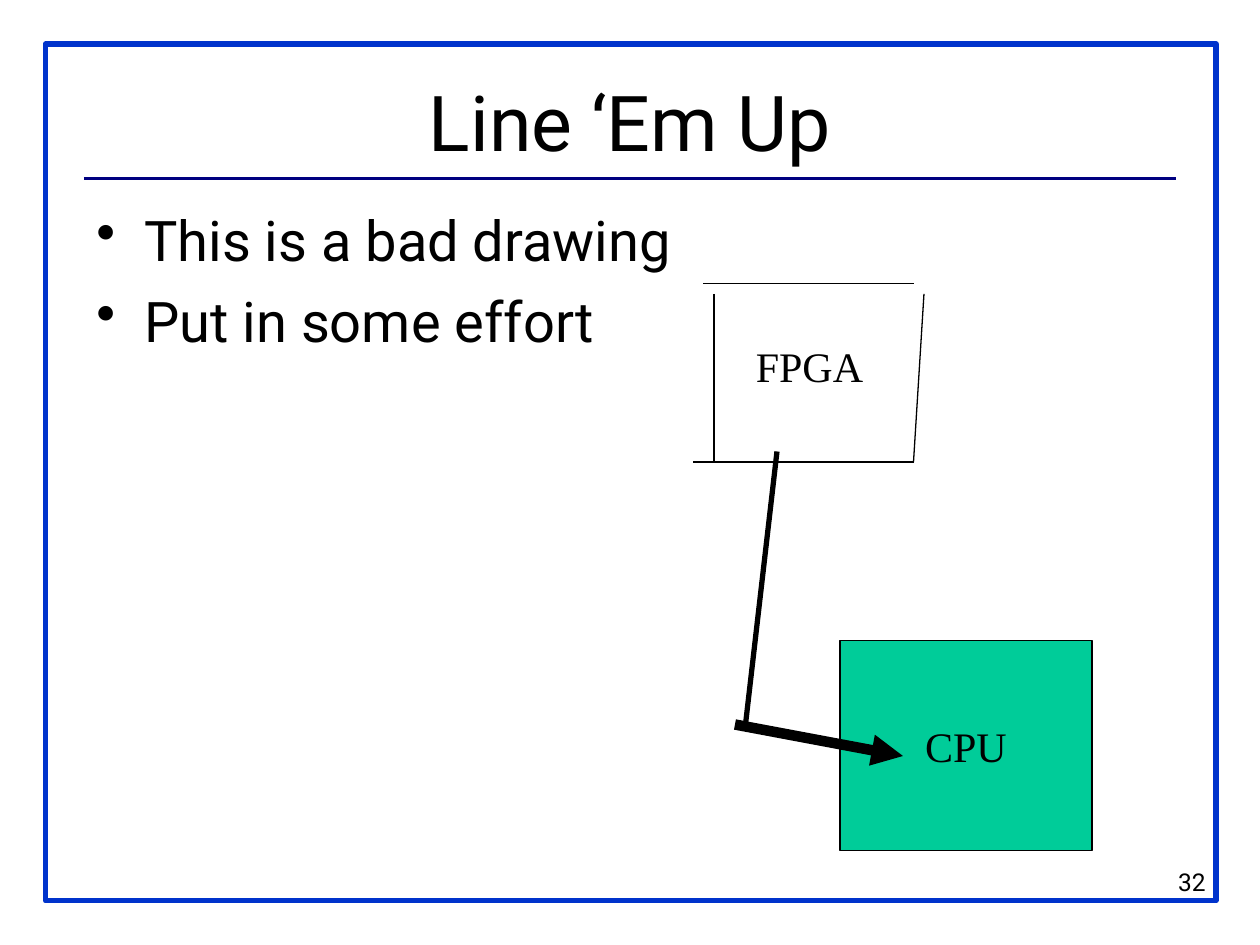
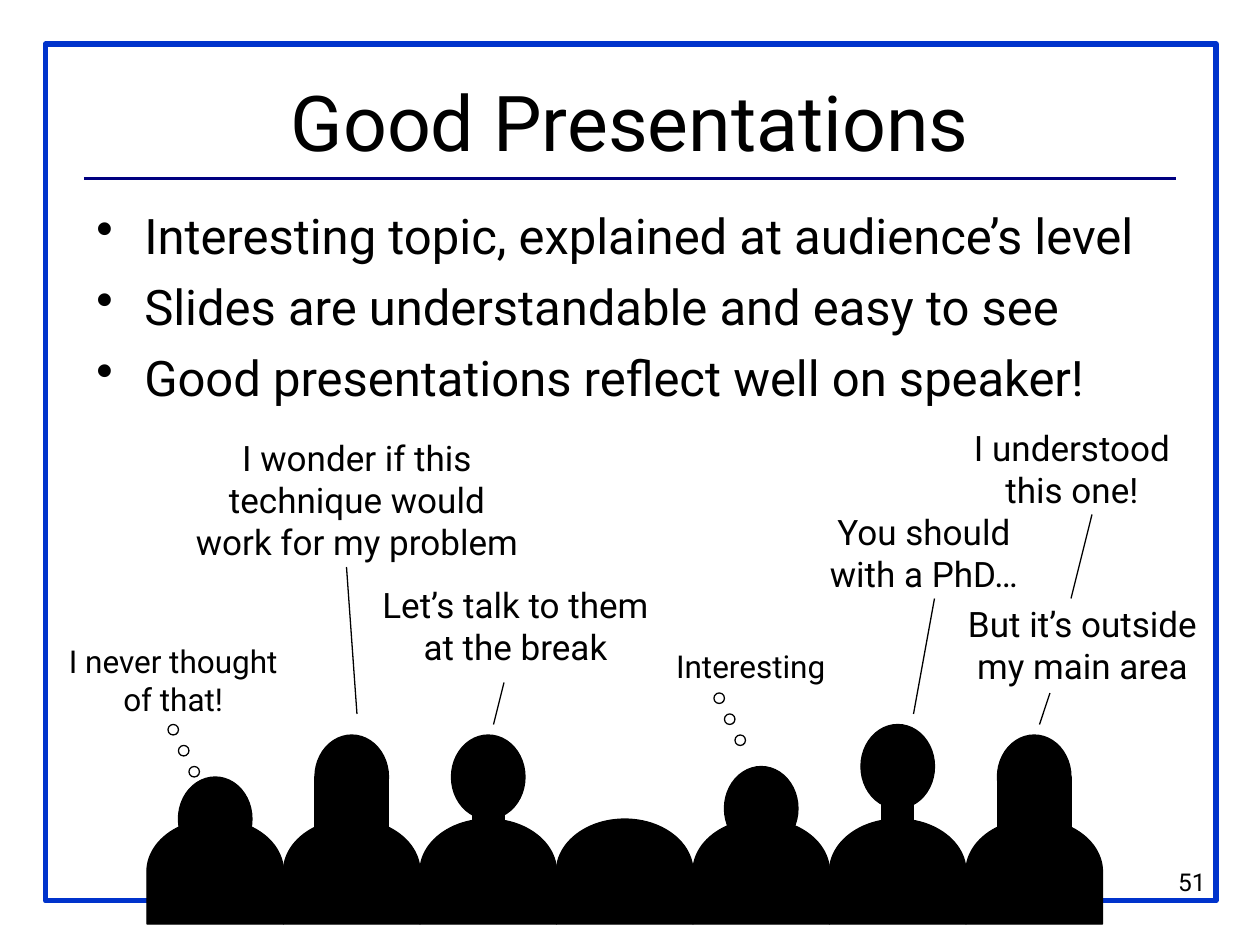
import lxml.etree
import pptx
import pptx.dml.color
import pptx.enum.shapes
import pptx.enum.text
import pptx.oxml.ns
import pptx.util

SHAPE = pptx.enum.shapes.MSO_SHAPE
ALIGN = pptx.enum.text.PP_ALIGN
MIDDLE = pptx.enum.text.MSO_ANCHOR.MIDDLE
COLORS = {"frame": "0033CC", "rule": "000080", "ink": "000000", "cpu": "00CC99"}
SANS, SERIF = "Roboto", "Times New Roman"
UNITS_PER_INCH = 12
WIDTH, HEIGHT = 120, 90

LINE_UP = {
    "title": "Line ‘Em Up", "number": "32", "size": 32, "gap": 8,
    "bullets": ["This is a bad drawing", "Put in some effort"],
}
GOOD_TALKS = {
    "title": "Good Presentations", "number": "51", "size": 28, "gap": 7,
    "bullets": [
        "Interesting topic, explained at audience’s level",
        "Slides are understandable and easy to see",
        "Good presentations reflect well on speaker!",
    ],
}

FPGA_EDGES = [(68, 28, 68, 44), (67, 27, 87, 27), (88, 28, 87, 44), (87, 44, 66, 44)]
FPGA_LABEL = (70.8, 31.8, 12.6, 6)
CPU_BOX = (80, 61, 24, 20)
LINK = (74, 43, 71, 69)
LINK_ARROW = (70, 69, 86, 72)

AUDIENCE = [
    (74, None), (70, "hair"), (70, "neck"), (None, None),
    (73, None), (69, "neck"), (70, "hair"),
]
FIRST_SEAT, SEAT_WIDTH, SHOULDER_TOP, TORSO_HEIGHT = 14, 13, 78, 10
HEAD_WIDTH, HEAD_HEIGHT, NECK_WIDTH, NECK_HEIGHT = 7, 8, 3, 9

REMARKS = [
    ("I never thought of that!", 18, (4, 60.6, 25, 8.4)),
    ("I wonder if this technique would work for my problem", 20, (17, 41, 34, 17.3)),
    ("Let’s talk to them at the break", 20, (35, 55, 28.2, 13.2)),
    ("Interesting", 18, (63, 61, 17, 8.4)),
    ("You should\nwith a PhD…", 20, (76, 48, 24, 9.2)),
    ("I understood this one!", 20, (89, 40, 26.2, 9.2)),
    ("But it’s outside\nmy main area", 20, (90, 56.8, 26.2, 9.2)),
]
POINTERS = [
    (34, 68, 33, 54), (47, 69, 48, 65), (87, 68, 89, 57),
    (99, 69, 100, 66), (102, 57, 104, 49),
]
THOUGHT_TRAILS = [(16, 69), (68, 66)]


def units(*values):
    return [pptx.util.Inches(value / UNITS_PER_INCH) for value in values]


def color(name):
    return pptx.dml.color.RGBColor.from_string(COLORS[name])


def style_line(line, name="ink", width=0.75):
    line.color.rgb = color(name)
    line.width = pptx.util.Pt(width)


def add_line(page, ends, name="ink", width=0.75, arrow=False):
    connector = page.shapes.add_connector(
        pptx.enum.shapes.MSO_CONNECTOR.STRAIGHT, *units(*ends))
    style_line(connector.line, name, width)
    properties = connector._element.spPr
    lxml.etree.SubElement(properties, pptx.oxml.ns.qn("a:effectLst"))
    if arrow:
        stroke = properties.find(pptx.oxml.ns.qn("a:ln"))
        lxml.etree.SubElement(stroke, pptx.oxml.ns.qn("a:tailEnd"), type="triangle")


def add_figure(page, kind, area, fill=None):
    shape = page.shapes.add_shape(kind, *units(*area))
    shape.shadow.inherit = False
    if fill:
        shape.fill.solid()
        shape.fill.fore_color.rgb = color(fill)
    else:
        shape.fill.background()
    style_line(shape.line)
    return shape


def write(para, text, size, font=SANS, align=ALIGN.LEFT):
    para.alignment = align
    for index, part in enumerate(text.split("\n")):
        if index:
            para.add_line_break()
        span = para.add_run()
        span.text = part
        span.font.size = pptx.util.Pt(size)
        span.font.name = font
        span.font.color.rgb = color("ink")


def add_text(page, area, text, size, font=SANS, align=ALIGN.CENTER, wrap=True):
    box = page.shapes.add_textbox(*units(*area))
    box.text_frame.word_wrap = wrap
    write(box.text_frame.paragraphs[0], text, size, font, align)
    return box


def add_bullets(page, content):
    box = page.shapes.add_textbox(*units(8, 19, 104, 63))
    box.text_frame.word_wrap = True
    for index, text in enumerate(content["bullets"]):
        para = box.text_frame.add_paragraph() if index else box.text_frame.paragraphs[0]
        properties = para._p.get_or_add_pPr()
        indent = pptx.util.Inches(0.38)
        properties.set("marL", str(indent))
        properties.set("indent", str(-indent))
        lxml.etree.SubElement(properties, pptx.oxml.ns.qn("a:buChar"), char="•")
        if index:
            para.space_before = pptx.util.Pt(content["gap"])
        write(para, text, content["size"])


def add_page(deck, content):
    page = deck.slides.add_slide(deck.slide_layouts[6])
    left, top, right, bottom = [pptx.util.Inches(edge) for edge in (0.36, 0.35, 9.65, 7.15)]
    outline = page.shapes.build_freeform(left, top)
    outline.add_line_segments([(right, top), (right, bottom), (left, bottom)], close=True)
    frame = outline.convert_to_shape()
    frame.shadow.inherit = False
    frame.fill.background()
    style_line(frame.line, "frame", 3)
    add_line(page, (8, 17, 112, 17), "rule", 2)
    title = add_text(page, (8, 4, 104, 15), content["title"], 44)
    title.text_frame.vertical_anchor = MIDDLE
    add_bullets(page, content)
    add_text(page, (91, 82, 25, 6), content["number"], 14, align=ALIGN.RIGHT)
    return page


def draw_circuit(page):
    for edge in FPGA_EDGES:
        add_line(page, edge)
    add_text(page, FPGA_LABEL, "FPGA", 24, SERIF, ALIGN.LEFT, wrap=False)
    cpu = add_figure(page, SHAPE.RECTANGLE, CPU_BOX, "cpu")
    cpu.text_frame.word_wrap = False
    cpu.text_frame.vertical_anchor = MIDDLE
    write(cpu.text_frame.paragraphs[0], "CPU", 24, SERIF, ALIGN.CENTER)
    add_line(page, LINK, width=3)
    add_line(page, LINK_ARROW, width=6, arrow=True)


def draw_audience(page):
    turn = (SEAT_WIDTH - TORSO_HEIGHT) / 2
    for seat, (head_top, below) in enumerate(AUDIENCE):
        left = FIRST_SEAT + seat * SEAT_WIDTH
        torso = add_figure(
            page, SHAPE.FLOWCHART_DELAY,
            (left + turn, SHOULDER_TOP - turn, TORSO_HEIGHT, SEAT_WIDTH), "ink")
        torso.rotation = 270
        if head_top is None:
            continue
        middle = left + SEAT_WIDTH / 2
        head = (middle - HEAD_WIDTH / 2, head_top, HEAD_WIDTH, HEAD_HEIGHT)
        add_figure(page, SHAPE.OVAL, head, "ink")
        if below:
            width = HEAD_WIDTH if below == "hair" else NECK_WIDTH
            column = (middle - width / 2, head_top + HEAD_HEIGHT / 2, width, NECK_HEIGHT)
            add_figure(page, SHAPE.RECTANGLE, column, "ink")


def draw_remarks(page):
    for text, size, area in REMARKS:
        add_text(page, area, text, size)
    for pointer in POINTERS:
        add_line(page, pointer)
    for left, top in THOUGHT_TRAILS:
        for step in range(3):
            add_figure(page, SHAPE.OVAL, (left + step, top + 2 * step, 1, 1))


def main():
    """Build the two slides and save the deck."""
    deck = pptx.Presentation()
    deck.slide_width, deck.slide_height = units(WIDTH, HEIGHT)
    draw_circuit(add_page(deck, LINE_UP))
    talks = add_page(deck, GOOD_TALKS)
    draw_audience(talks)
    draw_remarks(talks)
    deck.save("out.pptx")


if __name__ == "__main__":
    main()
